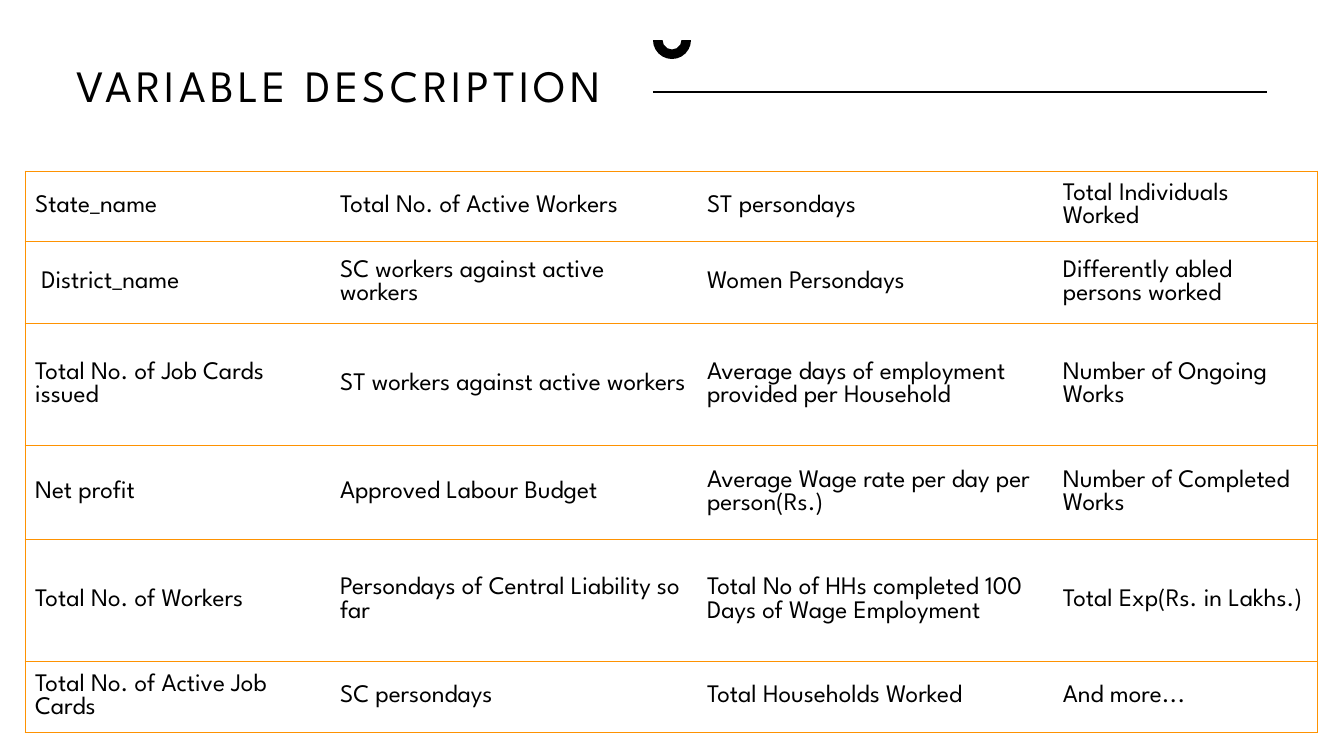
"""Build the variable description slide: a ruled title above a table of field names."""
from typing import NamedTuple

from pptx import Presentation
from pptx.dml.color import RGBColor
from pptx.enum.shapes import MSO_CONNECTOR as Connector, MSO_SHAPE as Preset
from pptx.enum.text import MSO_ANCHOR as Anchor
from pptx.oxml.ns import qn
from pptx.util import Emu, Pt
from lxml.etree import SubElement

EMU_PER_PX = 914400 / 100.8
FONT = "League Spartan"
COLORS = {"ink": "000000", "paper": "FFFFFF", "rule": "FE9201"}
BORDER_PT = 0.75


class Box(NamedTuple):
    left: int
    top: int
    width: int
    height: int


TITLE_BOX = Box(77, 59, 549, 200)
ARC_BOX = Box(653, 21, 38, 38)
RULE_BOX = Box(653, 92, 614, 0)
COLUMN_WIDTHS = [305, 367, 356, 265]
ROW_HEIGHTS = [69, 82, 122, 94, 122, 69]
TABLE_BOX = Box(25, 171, sum(COLUMN_WIDTHS), sum(ROW_HEIGHTS))

VARIABLES = [
    ["State_name", "Total No. of Active Workers", "ST persondays",
     "Total Individuals Worked"],
    [" District_name", "SC workers against active workers", "Women Persondays",
     "Differently abled persons worked"],
    ["Total No. of Job Cards issued", "ST workers against active workers",
     "Average days of employment provided per Household", "Number of Ongoing Works"],
    ["Net profit", "Approved Labour Budget",
     "Average Wage rate per day per person(Rs.)", "Number of Completed Works"],
    ["Total No. of Workers", "Persondays of Central Liability so far",
     "Total No of HHs completed 100 Days of Wage Employment",
     "Total Exp(Rs. in Lakhs.)"],
    ["Total No. of Active Job Cards", "SC persondays", "Total Households Worked",
     "And more..."],
]


def px(length: int) -> Emu:
    return Emu(round(length * EMU_PER_PX))


def place(box: Box) -> list[Emu]:
    return [px(length) for length in box]


def color(name: str) -> RGBColor:
    return RGBColor.from_string(COLORS[name])


def write_text(frame, text: str, *, size: float, ink: str = "ink",
               tracking: float = 0, line_spacing: float | None = None) -> None:
    paragraph = frame.paragraphs[0]
    paragraph.line_spacing = line_spacing
    run = paragraph.add_run()
    run.text = text
    run.font.name = FONT
    run.font.size = Pt(size)
    run.font.color.rgb = color(ink)
    if tracking:
        run.font._element.set("spc", str(round(tracking * 100)))


def set_borders(cell, drawn_sides: str) -> None:
    properties = cell._tc.get_or_add_tcPr()
    for side in "LRTB":
        line = SubElement(properties, qn(f"a:ln{side}"), w=str(Pt(BORDER_PT)))
        if side in drawn_sides:
            fill = SubElement(line, qn("a:solidFill"))
            SubElement(fill, qn("a:srgbClr"), val=COLORS["rule"])
        else:
            SubElement(line, qn("a:noFill"))


def add_heading(slide) -> None:
    left, top, width, _ = RULE_BOX
    rule = slide.shapes.add_connector(
        Connector.STRAIGHT, px(left), px(top), px(left + width), px(top))
    rule.line.color.rgb = color("ink")
    rule.line.width = Pt(1)
    rule.line.width = Pt(BORDER_PT)
    SubElement(rule._element.spPr, qn("a:effectLst"))

    arc = slide.shapes.add_shape(Preset.BLOCK_ARC, *place(ARC_BOX))
    arc.shadow.inherit = False
    arc.rotation = 180
    arc.fill.solid()
    arc.fill.fore_color.rgb = color("ink")
    arc.line.fill.background()

    title = slide.shapes.add_textbox(*place(TITLE_BOX))
    frame = title.text_frame
    frame.word_wrap = True
    frame.margin_left = 0
    write_text(frame, "VARIABLE DESCRIPTION", size=32, tracking=3, line_spacing=0.9)


def add_variable_table(slide) -> None:
    table = slide.shapes.add_table(
        len(ROW_HEIGHTS), len(COLUMN_WIDTHS), *place(TABLE_BOX)).table
    table.first_row = False
    table.horz_banding = False
    for column, width in zip(table.columns, COLUMN_WIDTHS):
        column.width = px(width)
    for row, height, names in zip(table.rows, ROW_HEIGHTS, VARIABLES):
        row.height = px(height)
        for index, (cell, name) in enumerate(zip(row.cells, names)):
            sides = {0: "LTB", len(names) - 1: "RTB"}.get(index, "TB")
            set_borders(cell, sides)
            cell.fill.solid()
            cell.fill.fore_color.rgb = color("paper")
            cell.vertical_anchor = Anchor.MIDDLE
            write_text(cell.text_frame, name, size=18)


def main() -> None:
    presentation = Presentation()
    presentation.slide_width = px(1344)
    presentation.slide_height = px(756)
    slide = presentation.slides.add_slide(presentation.slide_layouts[6])
    slide.background.fill.solid()
    slide.background.fill.fore_color.rgb = color("paper")
    add_heading(slide)
    add_variable_table(slide)
    presentation.save("out.pptx")


if __name__ == "__main__":
    main()
